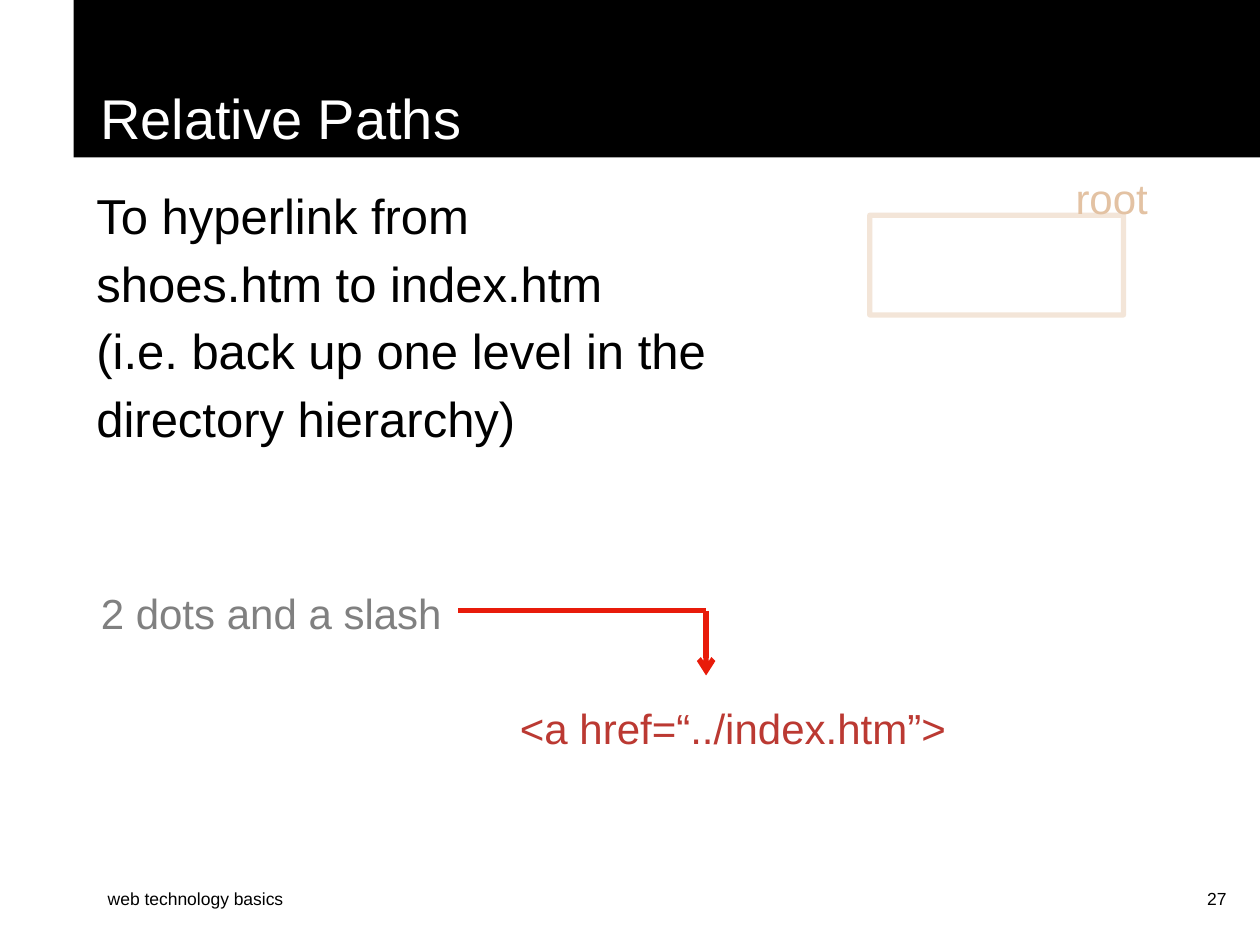
from lxml.etree import SubElement
from pptx import Presentation
from pptx.dml.color import RGBColor
from pptx.enum.shapes import MSO_CONNECTOR as LINK, MSO_SHAPE as SHAPE
from pptx.enum.text import MSO_ANCHOR as ANCHOR, MSO_AUTO_SIZE as FIT, PP_ALIGN as ALIGN
from pptx.oxml.ns import qn
from pptx.util import Pt

COLORS = {
    "black": "000000",
    "white": "FFFFFF",
    "tan": "E3C2A3",
    "gray": "808080",
    "red": "E81B0A",
    "code": "BB3932",
}


def rgb(name):
    return RGBColor.from_string(COLORS[name])


def write(shape, box, text, size, color, spacing=1.0, align=ALIGN.LEFT, indent=0):
    shape.left, shape.top, shape.width, shape.height = [Pt(value) for value in box]
    frame = shape.text_frame
    frame.word_wrap = True
    frame.auto_size = FIT.NONE
    paragraph = frame.paragraphs[0]
    paragraph.text = text
    paragraph.alignment = align
    paragraph.line_spacing = spacing
    if indent:
        paragraph._p.get_or_add_pPr().set("marL", str(Pt(indent)))
    for run in paragraph.runs:
        run.font.name = "Arial"
        run.font.size = Pt(size)
        run.font.color.rgb = rgb(color)


prs = Presentation()
prs.slide_width, prs.slide_height = Pt(720), Pt(540)
slide = prs.slides.add_slide(prs.slide_layouts[5])
shapes = slide.shapes

title = shapes.title
title.fill.solid()
title.fill.fore_color.rgb = rgb("black")
write(title, (42, 0, 678, 90), "Relative Paths", 32, "white", indent=8)
title.text_frame.vertical_anchor = ANCHOR.BOTTOM

root_folder = shapes.add_shape(SHAPE.RECTANGLE, Pt(497), Pt(123), Pt(145), Pt(57))
root_folder.shadow.inherit = False
root_folder.fill.background()
root_folder.line.color.rgb = rgb("tan")
root_folder.line.width = Pt(3)
tint = root_folder.line._ln.find(".//" + qn("a:srgbClr"))
SubElement(tint, qn("a:alpha"), val="41000")

explanation = (
    "To hyperlink from \nshoes.htm to index.htm \n"
    "(i.e. back up one level in the directory hierarchy)"
)
labels = [
    ((41, 97.5, 384, 222), explanation, 28, "black", 1.15, ALIGN.LEFT, 7),
    ((290, 388, 290, 53), "<a href=“../index.htm”>", 24, "code", 1.35, ALIGN.LEFT, 0),
    ((607.5, 95, 109, 40), "root", 24, "tan", 1.0, ALIGN.LEFT, 0),
    ((50.5, 322, 220, 53), "2 dots and a slash", 24, "gray", 1.35, ALIGN.LEFT, 0),
    ((54.5, 504, 238, 36), "web technology basics", 10, "black", 1.0, ALIGN.LEFT, 0),
    ((558, 504, 150, 36), "27", 10, "black", 1.0, ALIGN.RIGHT, 0),
]
for box, *content in labels:
    write(shapes.add_textbox(0, 0, 0, 0), box, *content)

pointer_path = [(262, 349), (403.5, 349), (403.5, 386)]
for start, end in zip(pointer_path, pointer_path[1:]):
    pointer = shapes.add_connector(LINK.STRAIGHT, *[Pt(value) for value in start + end])
    pointer.line.color.rgb = rgb("red")
    pointer.line.width = Pt(3)
    if end == pointer_path[-1]:
        SubElement(pointer.line._ln, qn("a:tailEnd"), type="arrow")
    SubElement(pointer._element.spPr, qn("a:effectLst"))

prs.save("out.pptx")
